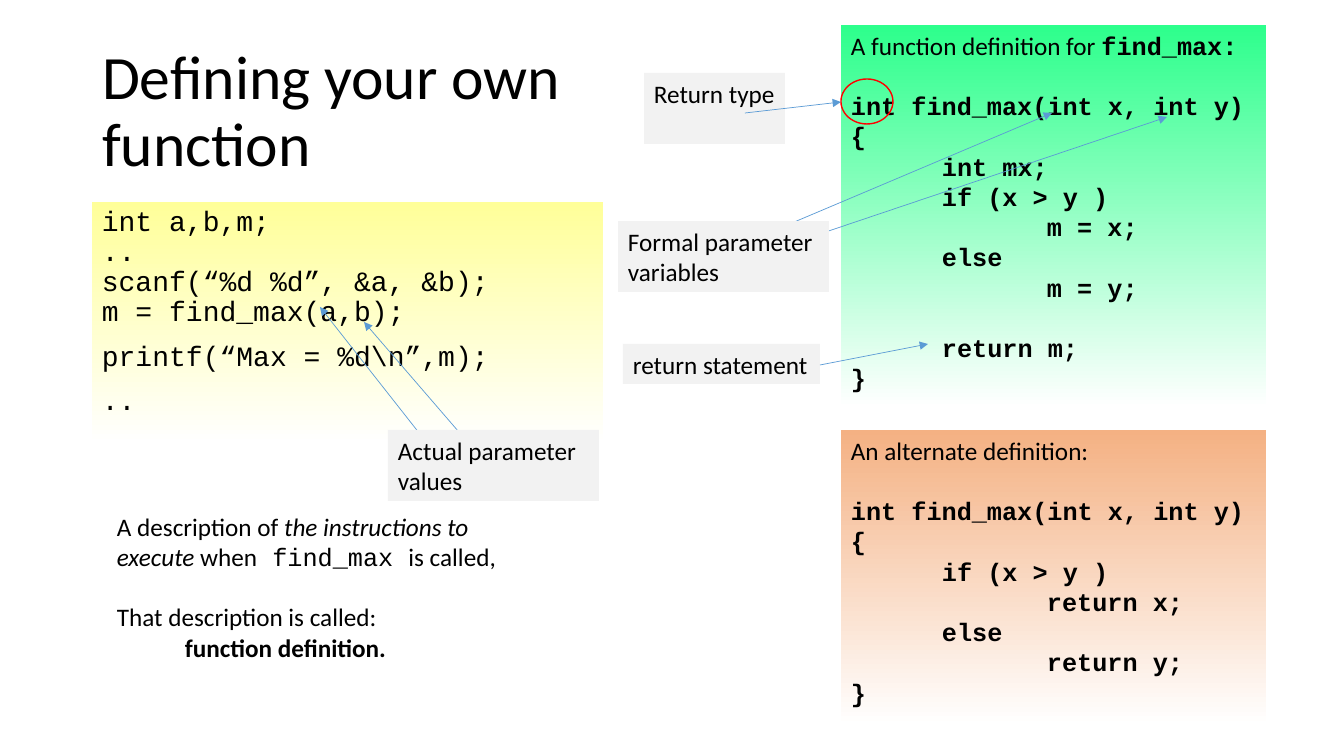
"""Build the slide on defining your own function in C."""
from lxml import etree
from pptx import Presentation
from pptx.dml.color import RGBColor
from pptx.enum.shapes import MSO_CONNECTOR, MSO_SHAPE
from pptx.enum.text import MSO_ANCHOR, MSO_AUTO_SIZE, PP_ALIGN
from pptx.oxml.ns import qn
from pptx.util import Emu, Pt

PIXEL = 914400 / 100.8
STRAIGHT = MSO_CONNECTOR.STRAIGHT
RECTANGLE, OVAL = MSO_SHAPE.RECTANGLE, MSO_SHAPE.OVAL
TOP, MIDDLE = MSO_ANCHOR.TOP, MSO_ANCHOR.MIDDLE
NO_FIT, LEFT = MSO_AUTO_SIZE.NONE, PP_ALIGN.LEFT
BLACK = RGBColor(0, 0, 0)
WHITE = RGBColor(255, 255, 255)
GREY = RGBColor(0xF2, 0xF2, 0xF2)
YELLOW = RGBColor(0xFF, 0xFF, 0x99)
GREEN = RGBColor(0x2D, 0xFF, 0x8C)
ORANGE = RGBColor(0xF4, 0xB1, 0x83)
BLUE = RGBColor(0x5B, 0x9B, 0xD5)
RED = RGBColor(255, 0, 0)
SANS, MONO = "Calibri", "Courier New"
INDENT, DEEP_INDENT = 91, 196
GAP = 21.6

presentation = Presentation()
presentation.slide_width = Emu(round(1344 * PIXEL))
presentation.slide_height = Emu(round(756 * PIXEL))
slide = presentation.slides.add_slide(presentation.slide_layouts[5])


def add_box(bounds, color, rows, size=18, spacing=1.0, fade_end=None):
    """Add a box whose rows are (runs, indent, space before)."""
    lengths = [Emu(round(value * PIXEL)) for value in bounds]
    if color is None:
        shape = slide.shapes.add_textbox(*lengths)
    else:
        shape = slide.shapes.add_shape(RECTANGLE, *lengths)
        shape.shadow.inherit = False
        shape.line.fill.background()
        if fade_end is None:
            shape.fill.solid()
            shape.fill.fore_color.rgb = color
        else:
            shape.fill.gradient()
            shape.fill.gradient_angle = 270
            start, end = shape.fill.gradient_stops
            start.color.rgb, start.position = color, 0
            end.color.rgb, end.position = WHITE, fade_end
    frame = shape.text_frame
    frame.word_wrap = True
    frame.auto_size = NO_FIT
    frame.vertical_anchor = TOP
    for index, (runs, indent, before) in enumerate(rows):
        paragraph = frame.add_paragraph() if index else frame.paragraphs[0]
        paragraph.alignment = LEFT
        paragraph.line_spacing = spacing
        paragraph.space_before = Pt(before)
        paragraph._p.get_or_add_pPr().set("marL", str(round(indent * PIXEL)))
        for text, font_name, bold, italic in runs:
            run = paragraph.add_run()
            run.text = text
            run.font.name = font_name
            run.font.size = Pt(size)
            run.font.bold = bold
            run.font.italic = italic
            run.font.color.rgb = BLACK


def add_arrow(*ends):
    """Add a thin blue arrow from the first point to the second."""
    lengths = [Emu(round(value * PIXEL)) for value in ends]
    connector = slide.shapes.add_connector(STRAIGHT, *lengths)
    connector.line.color.rgb = BLUE
    connector.line.width = Pt(0.5)
    line = connector.line._get_or_add_ln()
    etree.SubElement(line, qn("a:tailEnd")).set("type", "triangle")
    etree.SubElement(connector._element.spPr, qn("a:effectLst"))


title = slide.shapes.title
title.left, title.top, title.width, title.height = [
    Emu(round(value * PIXEL)) for value in (92, 40, 693, 146)]
title.text_frame.text = "Defining your own function"
title.text_frame.word_wrap = True
title.text_frame.auto_size = NO_FIT
title.text_frame.vertical_anchor = MIDDLE
heading = title.text_frame.paragraphs[0]
heading.alignment = LEFT
heading.line_spacing = 0.9
heading.runs[0].font.name = SANS
heading.runs[0].font.size = Pt(44)
heading.runs[0].font.color.rgb = BLACK

calling_code = [
    ("int a,b,m;", 0),
    ("..", 0),
    ("scanf(“%d %d”, &a, &b);", 0),
    ("m = find_max(a,b);", 0),
    ("printf(“Max = %d\\n”,m);", 10),
    ("..", 10),
]
add_box((92, 202, 511, 242), YELLOW,
        [([(text, MONO, False, False)], 0, before) for text, before in calling_code],
        size=20, spacing=0.9, fade_end=1.0)

add_box((107, 506, 425, 163), None, [
    ([("A description of ", SANS, False, False),
      ("the instructions to execute", SANS, False, True),
      (" when", SANS, False, False),
      (" find_max ", MONO, False, False),
      ("is called,", SANS, False, False)], 0, 0),
    ([("That description is called:", SANS, False, False)], 0, GAP),
    ([("function definition.", SANS, True, False)], 68, 0),
])

signature = ("int find_max(int x, int y) {", 0, GAP)
definitions = [
    ((841, 25, 425, 407), GREEN,
     [("A function definition for ", SANS, False, False), ("find_max:", MONO, True, False)],
     [signature, ("int mx;", INDENT, 0), ("if (x > y )", INDENT, 0),
      ("m = x;", DEEP_INDENT, 0), ("else", INDENT, 0), ("m = y;", DEEP_INDENT, 0),
      ("return m;", INDENT, GAP), ("}", 0, 0)]),
    ((841, 430, 425, 315), ORANGE,
     [("An alternate definition:", SANS, False, False)],
     [signature, ("if (x > y )", INDENT, 0), ("return x;", DEEP_INDENT, 0),
      ("else", INDENT, 0), ("return y;", DEEP_INDENT, 0), ("}", 0, 0)]),
]
for bounds, color, caption, code in definitions:
    code_rows = [([(text, MONO, True, False)], indent, before)
                 for text, indent, before in code]
    add_box(bounds, color, [(caption, 0, 0)] + code_rows, fade_end=0.94)

callouts = [
    ("Actual parameter values", (388, 430, 211, 71),
     [(453, 476, 320, 307), (471, 446, 364, 322)], []),
    ("Formal parameter variables", (618, 221, 211, 71),
     [(714, 256, 1052, 113), (799, 241, 1167, 117)], []),
    ("Return type", (644, 73, 141, 71), [], [(745, 113, 841, 102)]),
    ("return statement", (623, 344, 197, 40), [], [(820, 365, 928, 344)]),
]
for text, bounds, arrows_behind, arrows_in_front in callouts:
    for ends in arrows_behind:
        add_arrow(*ends)
    add_box(bounds, GREY, [([(text, SANS, False, False)], 0, 0)])
    for ends in arrows_in_front:
        add_arrow(*ends)

return_type_ring = slide.shapes.add_shape(
    OVAL, *[Emu(round(value * PIXEL)) for value in (841, 79, 52, 45)])
return_type_ring.shadow.inherit = False
return_type_ring.fill.background()
return_type_ring.line.color.rgb = RED
return_type_ring.line.width = Pt(1)

presentation.save("out.pptx")
